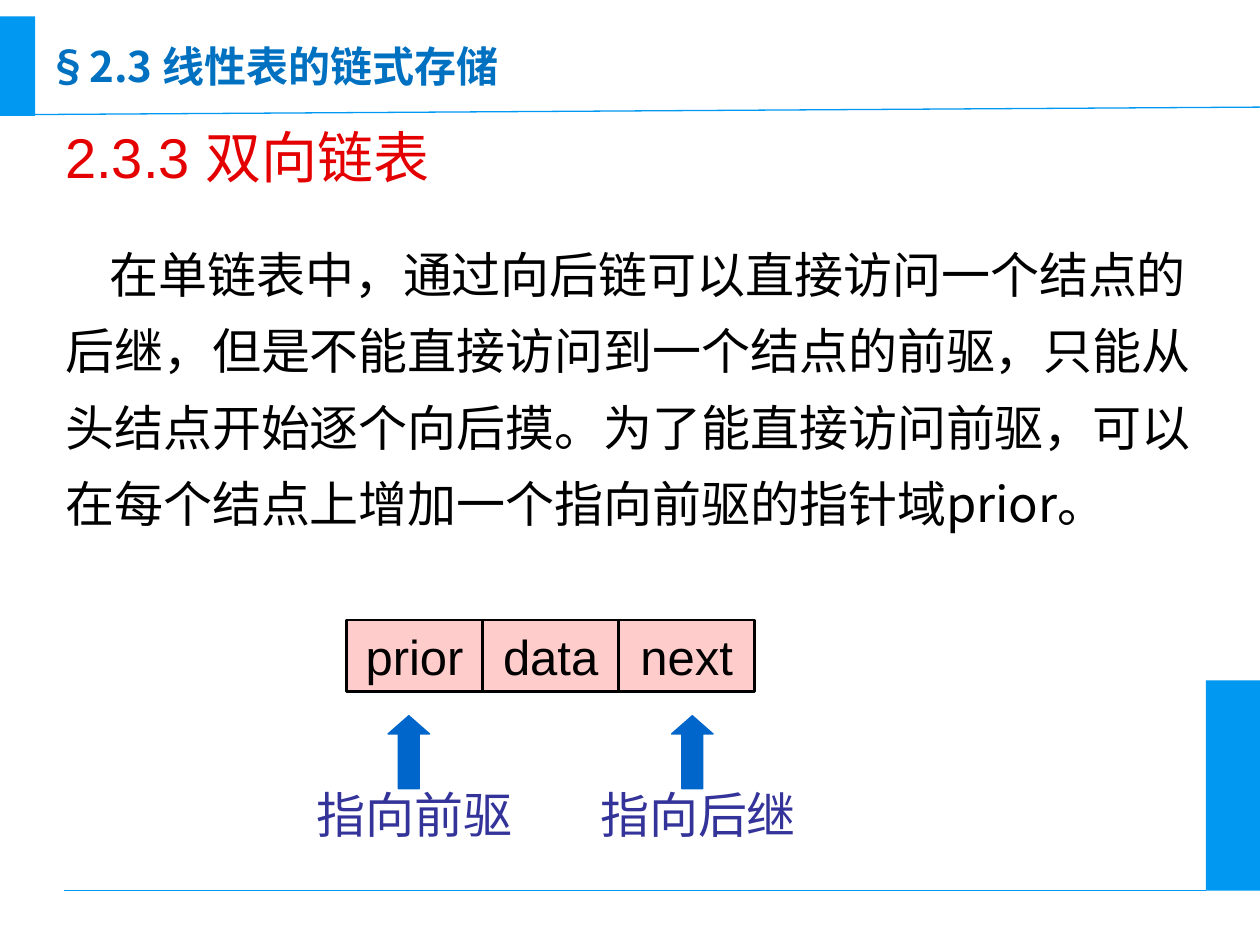
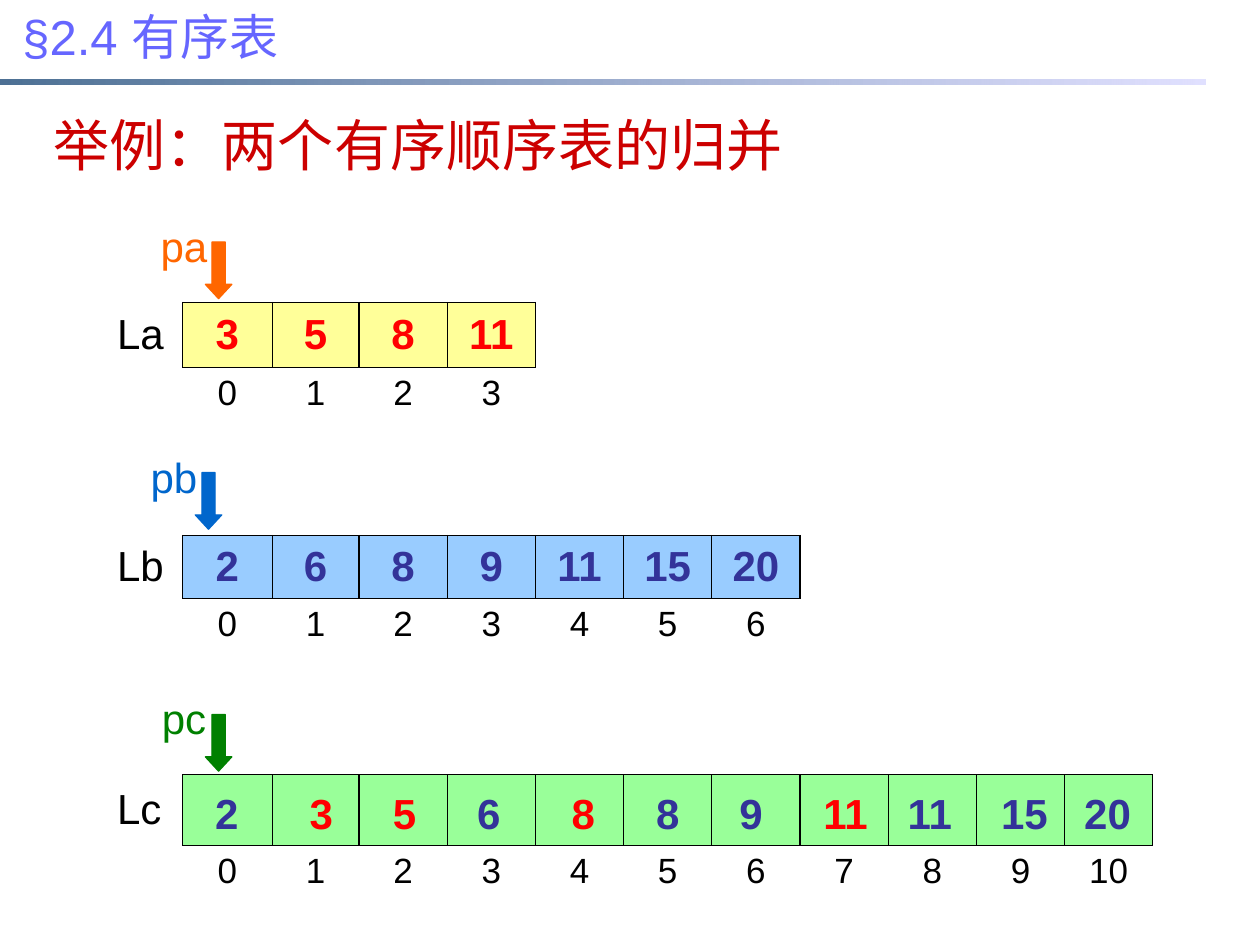
import pptx
import pptx.util
import pptx.dml.color
import pptx.enum.shapes
import pptx.enum.text
import pptx.oxml.ns
from lxml import etree

# Shared look
HUES = {
    "black": "000000", "sky": "0098F0", "azure": "0070C0", "blue": "0066CC",
    "red": "FF0000", "title": "E40000", "head": "CC0000", "pink": "FFCCCC",
    "indigo": "333399", "violet": "6666FF", "navy": "003366", "pale": "CCCCFF",
    "orange": "FF6600", "green": "008000",
    "cream": "FFFF99", "ice": "99CCFF", "mint": "99FF99",
}
ARIAL, SANS, SANS_JP = "Arial", "Noto Sans CJK SC", "Noto Sans CJK JP"
PAD = (0.1, 0.05)
Inches = pptx.util.Inches
Pt = pptx.util.Pt
FORM = pptx.enum.shapes.MSO_SHAPE
SIDE = pptx.enum.text.PP_ALIGN
ANCHOR = pptx.enum.text.MSO_ANCHOR
qn = pptx.oxml.ns.qn

# Content: linked list slide
STORY = ("在单链表中，通过向后链可以直接访问一个结点的后继，但是不能直接访问到一个结点的前驱，"
         "只能从头结点开始逐个向后摸。为了能直接访问前驱，可以在每个结点上增加一个指向前驱的指针域prior。")
FIELDS = ["prior", "data", "next"]
HINTS = [("指向前驱", 2.33), ("指向后继", 4.58)]
BLOCKS = [(9.57, 5.4, 0.43, 1.67), (0, 0.13, 0.28, 0.79)]
RULES = [(0.14, 0.91, 10, 0.85), (0.51, 7.07, 9.57, 7.07)]

# Content: merge slide
LISTS = [
    {"name": "La", "vals": [3, 5, 8, 11], "top": 2.4, "rows": (0.52, 0.45),
     "fill": "cream", "ink": "red"},
    {"name": "Lb", "vals": [2, 6, 8, 9, 11, 15, 20], "top": 4.25,
     "rows": (0.5, 0.43), "fill": "ice", "ink": "indigo"},
    {"name": "Lc", "vals": [""] * 11, "top": 6.15, "rows": (0.56, 0.43),
     "fill": "mint", "ink": "black"},
]
MARKS = [("pa", 1.25, 1.75, "orange"), ("pb", 1.17, 3.58, "blue"),
         ("pc", 1.25, 5.5, "green")]
# Merged values: number, source list, centre
MERGED = [(2, "b", 1.8), (3, "a", 2.55), (5, "a", 3.21), (6, "b", 3.88),
          (8, "a", 4.63), (8, "b", 5.3), (9, "b", 5.96), (11, "a", 6.71),
          (11, "b", 7.38), (15, "b", 8.13), (20, "b", 8.79)]
SOURCE = {"a": "red", "b": "indigo"}


def tint(name):
    return pptx.dml.color.RGBColor.from_string(HUES[name])


def write(frame, text, size, hue, font=ARIAL, bold=False, side=SIDE.LEFT):
    para = frame.paragraphs[0]
    para.alignment = side
    run = para.add_run()
    run.text = str(text)
    run.font.size = Pt(size)
    run.font.name = font
    run.font.bold = bold
    run.font.color.rgb = tint(hue)
    east = SANS if font == ARIAL else font
    etree.SubElement(run.font._element, qn("a:ea"), typeface=east)
    return para


def label(slide, box, text, size, hue, pad=PAD, wrap=True, **style):
    frame = slide.shapes.add_textbox(*map(Inches, box)).text_frame
    frame.word_wrap = wrap
    frame.margin_left = frame.margin_right = Inches(pad[0])
    frame.margin_top = frame.margin_bottom = Inches(pad[1])
    return write(frame, text, size, hue, **style)


def shape(slide, form, box, fill, line=None, width=0.75):
    item = slide.shapes.add_shape(form, *map(Inches, box))
    item.shadow.inherit = False
    item.fill.solid()
    item.fill.fore_color.rgb = tint(fill)
    if line:
        item.line.color.rgb = tint(line)
        item.line.width = Pt(width)
    else:
        item.line.fill.background()
    return item


def arrow(slide, form, box, hue, head):
    item = shape(slide, form, box, hue, hue)
    item.adjustments[0] = 0.5
    item.adjustments[1] = head


def rule(slide, ends, hue):
    kind = pptx.enum.shapes.MSO_CONNECTOR.STRAIGHT
    line = slide.shapes.add_connector(kind, *map(Inches, ends))
    line.line.color.rgb = tint(hue)
    line.line.width = Pt(0.75)
    etree.SubElement(line._element.spPr, qn("a:effectLst"))


def edge(cell, sides):
    """Draw the named sides in black and clear the others."""
    props = cell._tc.get_or_add_tcPr()
    for side in "LRTB":
        line = etree.SubElement(props, qn("a:ln" + side), w=str(Pt(0.75)))
        if side in sides:
            solid = etree.SubElement(line, qn("a:solidFill"))
            etree.SubElement(solid, qn("a:srgbClr"), val=HUES["black"])
        else:
            etree.SubElement(line, qn("a:noFill"))


def array(slide, data):
    vals = data["vals"]
    cols = [0.62, 0.71, 0.69] + [0.7] * (len(vals) - 2)
    box = (0.83, data["top"], sum(cols), sum(data["rows"]))
    grid = slide.shapes.add_table(2, len(cols), *map(Inches, box)).table
    grid.first_row = grid.horz_banding = False
    for col, wide in zip(grid.columns, cols):
        col.width = Inches(wide)
    for row, high in zip(grid.rows, data["rows"]):
        row.height = Inches(high)
    for i in range(len(cols)):
        top, low = grid.cell(0, i), grid.cell(1, i)
        edge(top, "LRTB" if i else "R")
        edge(low, "T" if i else "")
        top.vertical_anchor = ANCHOR.MIDDLE
        low.fill.background()
        if i == 0:
            top.fill.background()
            write(top.text_frame, data["name"], 24, "black")
            continue
        top.fill.solid()
        top.fill.fore_color.rgb = tint(data["fill"])
        if vals[i - 1] != "":
            write(top.text_frame, vals[i - 1], 24, data["ink"],
                  bold=True, side=SIDE.CENTER)
        write(low.text_frame, i - 1, 20, "black", side=SIDE.CENTER)


def linked(slide):
    label(slide, (0.42, 0.92, 6.25, 0.5), "2.3.3 双向链表", 32, "title")

    # Node with three fields
    for i, name in enumerate(FIELDS):
        cell = shape(slide, FORM.RECTANGLE, (2.75 + i * 1.08, 4.92, 1.08, 0.57),
                     "pink", "black", 1.5)
        cell.text_frame.vertical_anchor = ANCHOR.MIDDLE
        write(cell.text_frame, name, 28, "black", side=SIDE.CENTER)

    # Pointer hints
    for text, left in HINTS:
        label(slide, (left, 6.18, 1.92, 0.57), text, 28, "indigo",
              side=SIDE.CENTER)
        arrow(slide, FORM.UP_ARROW, (left + 0.75, 5.68, 0.33, 0.58),
              "blue", 0.44)

    # Body text with first-line indent
    para = label(slide, (0.42, 1.75, 9.25, 2.53), STORY, 28, "black", font=SANS)
    para.line_spacing = 1.3
    para._p.get_or_add_pPr().set("indent", str(Inches(0.35)))

    # Frame and section name
    for box in BLOCKS:
        shape(slide, FORM.RECTANGLE, box, "sky")
    for ends in RULES:
        rule(slide, ends, "sky")
    label(slide, (0.19, 0.27, 3.95, 0.5), "§2.3 线性表的链式存储", 24, "azure",
          wrap=False, font=SANS, bold=True, side=SIDE.CENTER)


def merge(slide):
    label(slide, (0.33, 0.83, 9.33, 0.67), "举例：两个有序顺序表的归并", 32,
          "head", font=SANS_JP)
    for data in LISTS:
        array(slide, data)

    # Pointers above the arrays
    for text, left, top, hue in MARKS:
        arrow(slide, FORM.DOWN_ARROW, (left + 0.38, top + 0.17, 0.21, 0.45),
              hue, 0.54)
        label(slide, (left, top, 0.42, 0.4), text, 24, hue, pad=(0, 0),
              side=SIDE.CENTER)

    # Merged values over the third array
    for num, key, mid in MERGED:
        wide = 0.25 if num < 10 else 0.42
        label(slide, (mid - wide / 2, 6.25, wide, 0.4), num, 24, SOURCE[key],
              pad=(0, 0), bold=True, side=SIDE.CENTER)

    # Fading band and section name
    band = shape(slide, FORM.RECTANGLE, (0, 0.63, 9.57, 0.04), "navy")
    band.fill.gradient()
    band.fill.gradient_angle = 0
    fades = [("navy", 70), ("pale", 60)]
    for stop, (hue, _) in zip(band.fill.gradient_stops, fades):
        stop.color.rgb = tint(hue)
    tones = band._element.spPr.iter(qn("a:srgbClr"))
    for tone, (_, alpha) in zip(list(tones), fades):
        etree.SubElement(tone, qn("a:alpha"), val=str(alpha * 1000))
    label(slide, (0.08, 0, 9.92, 0.57), "§2.4 有序表", 28, "violet")


def main():
    deck = pptx.Presentation()
    deck.slide_width, deck.slide_height = Inches(10), Inches(7.5)
    for build in (linked, merge):
        build(deck.slides.add_slide(deck.slide_layouts[6]))
    deck.save("out.pptx")


if __name__ == "__main__":
    main()
